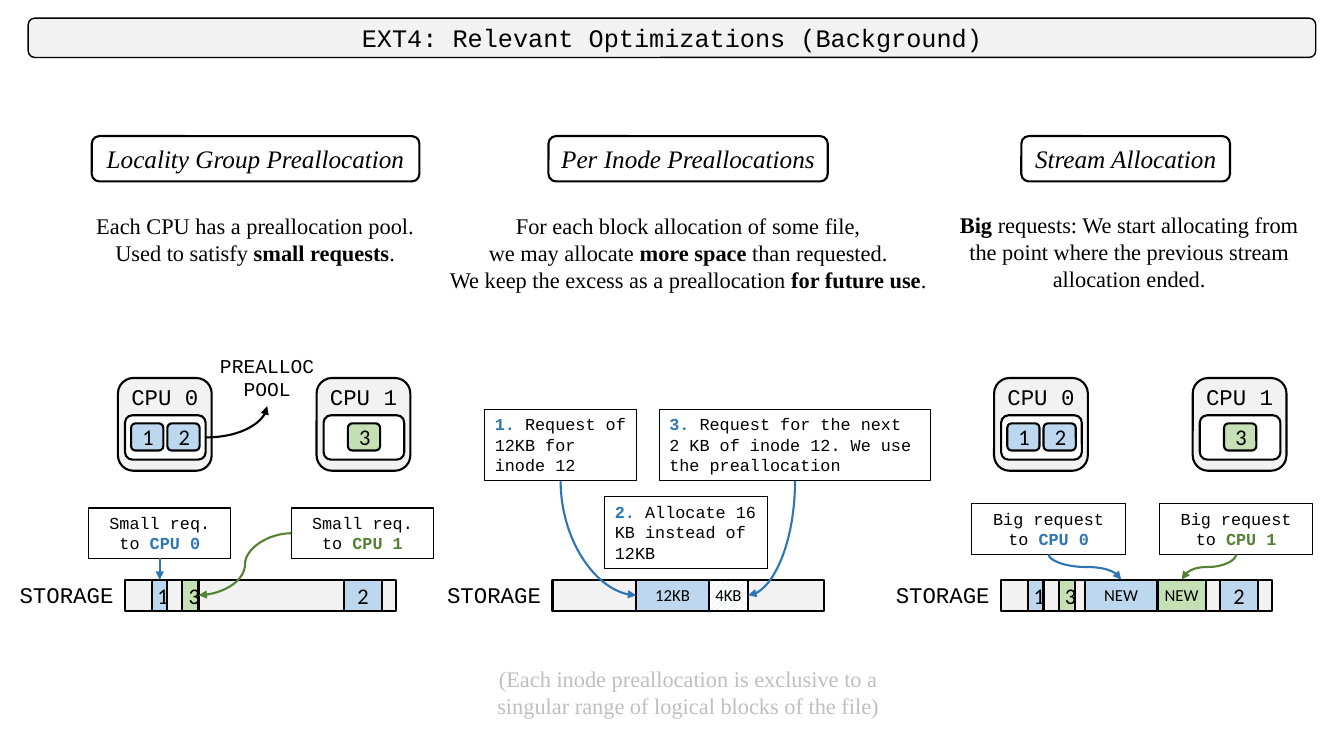
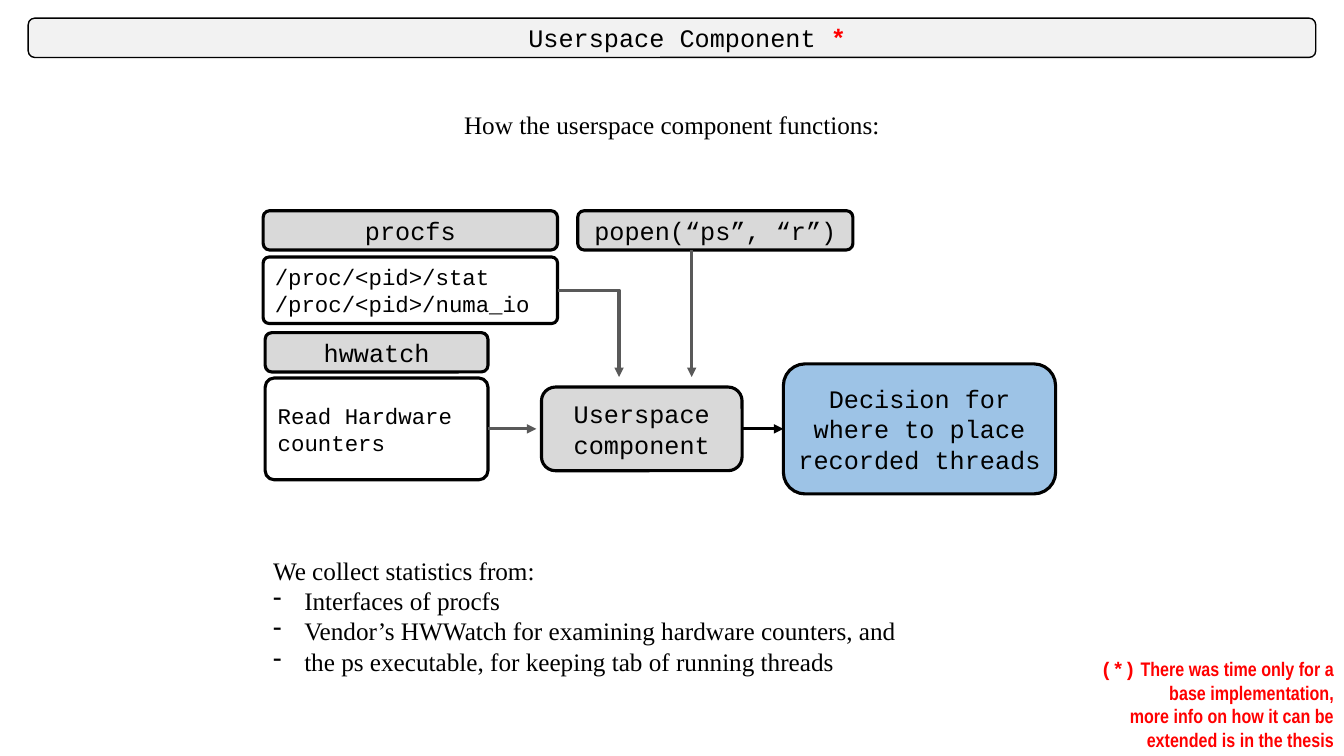
from pptx import Presentation, util as u
from pptx.dml.color import RGBColor
from pptx.enum import dml, shapes, text
from pptx.oxml.ns import qn
from lxml import etree

INK = {"black": "000000", "white": "FFFFFF", "pale": "F2F2F2", "gray": "D9D9D9",
       "dim": "BFBFBF", "slate": "595959", "sky": "BDD7EE", "mint": "C5E0B4",
       "lake": "9DC3E6", "blue": "2E75B6", "green": "548235", "red": "FF0000"}
MONO, SERIF, SANS, SLIM = "Courier New", "Times New Roman", "Calibri", "Arial Narrow"
RECT, ROUND = shapes.MSO_SHAPE.RECTANGLE, shapes.MSO_SHAPE.ROUNDED_RECTANGLE
LEFT, MID, RIGHT = text.PP_ALIGN.LEFT, text.PP_ALIGN.CENTER, text.PP_ALIGN.RIGHT
TOP, LEVEL = text.MSO_ANCHOR.TOP, text.MSO_ANCHOR.MIDDLE
BOLD = {"bold": True}
CPUS = [("CPU 0", "blue"), ("CPU 1", "green")]


def rgb(name):
    return RGBColor.from_string(INK[name])


def write(shape, paras, font, size, align=MID, anchor=TOP, wrap=True, side=0.1, **look):
    """Fill a shape with paragraphs, each a string or a list of strings and (string, format) pairs."""
    frame = shape.text_frame
    frame.word_wrap, frame.vertical_anchor = wrap, anchor
    frame.margin_left = frame.margin_right = u.Inches(side)
    for i, runs in enumerate([paras] if isinstance(paras, str) else paras):
        para = frame.add_paragraph() if i else frame.paragraphs[0]
        para.alignment = align
        for run in [runs] if isinstance(runs, str) else runs:
            words, extra = (run, {}) if isinstance(run, str) else run
            style = {"name": font, "size": u.Pt(size), "color": "black", **look, **extra}
            for j, line in enumerate(words.split("\n")):
                if j:
                    para.add_line_break()
                part = para.add_run()
                part.text = line
                for key, value in style.items():
                    if key == "color":
                        part.font.color.rgb = rgb(value)
                    else:
                        setattr(part.font, key, value)
    return shape


def box(slide, area, fill=None, form=RECT, line=1.5, curve=None):
    shape = slide.shapes.add_shape(form, *map(u.Inches, area))
    shape.shadow.inherit = False
    if fill:
        shape.fill.solid()
        shape.fill.fore_color.rgb = rgb(fill)
    else:
        shape.fill.background()
    shape.line.color.rgb, shape.line.width = rgb("black"), u.Pt(line)
    if curve:
        shape.adjustments[0] = curve
    return shape


def label(slide, area, paras, font, size, **look):
    return write(slide.shapes.add_textbox(*map(u.Inches, area)), paras, font, size, **look)


def spot(end):
    """Give the point, in inches, of an (x, y) pair or of a (shape, side) pair."""
    shape, side = end
    if isinstance(shape, (int, float)):
        return end
    dx, dy = [(0.5, 0), (0, 0.5), (0.5, 1), (1, 0.5)][side]
    return (u.Emu(shape.left + int(dx * shape.width)).inches,
            u.Emu(shape.top + int(dy * shape.height)).inches)


def link(slide, start, end, color, width=1.5, form=None, down=False):
    """Draw an arrow; form names a bent or curved preset, down makes it leave downwards."""
    (ax, ay), (bx, by) = spot(start), spot(end)
    turn = 0
    if down:
        mx, my = (ax + bx) / 2, (ay + by) / 2
        sign = 1 if bx < ax else -1
        reach, rise = sign * (by - ay) / 2, abs(bx - ax) / 2
        ax, ay, bx, by = mx - reach, my - rise, mx + reach, my + rise
        turn = 90 if sign > 0 else 270
    kinds = shapes.MSO_CONNECTOR
    kind = kinds.CURVE if form else kinds.STRAIGHT
    arrow = slide.shapes.add_connector(kind, *map(u.Inches, (ax, ay, bx, by)))
    frame = arrow.element.spPr
    if form:
        frame.find(qn("a:prstGeom")).set("prst", form)
        arrow.rotation = turn
    else:
        for join, (shape, side) in ((arrow.begin_connect, start), (arrow.end_connect, end)):
            if not isinstance(shape, (int, float)):
                join(shape, side)
    arrow.line.color.rgb, arrow.line.width = rgb(color), u.Pt(width)
    etree.SubElement(frame.find(qn("a:ln")), qn("a:tailEnd"), type="triangle")
    etree.SubElement(frame, qn("a:effectLst"))


def banner(slide, paras, indent=0.1):
    bar = box(slide, (0.28, 0.18, 12.77, 0.39), "pale", ROUND, 1)
    write(bar, paras, MONO, 18, anchor=LEVEL)
    bar.text_frame.margin_left = u.Inches(indent)


def topic(slide, x, w, name):
    tag = box(slide, (x, 1.35, w, 0.45), form=ROUND)
    write(tag, name, SERIF, 18, wrap=False, italic=True)


def core(slide, x, y, name, slots, fill):
    """Draw a CPU with its pool of numbered slots."""
    w, gap = 0.32, 0.04
    box(slide, (x, y, 0.93, 0.92), "pale", ROUND)
    label(slide, (x, y, 0.93, 0.37), name, MONO, 16)
    pool = box(slide, (x + 0.07, y + 0.37, 0.8, 0.44), "white", ROUND)
    left = x + 0.47 - (len(slots) * (w + gap) - gap) / 2
    for i, mark in enumerate(slots):
        slot = box(slide, (left + i * (w + gap), y + 0.45, w, 0.27), fill, ROUND)
        write(slot, mark, SANS, 16, anchor=LEVEL)
    return pool


def cores(slide, x, y):
    return [core(slide, x + 1.97 * i, y, name, slots, fill) for i, (name, slots, fill)
            in enumerate([("CPU 0", "12", "sky"), ("CPU 1", "3", "mint")])]


def store(slide, x, y, blocks):
    """Draw the storage bar; a block is (offset, width, text, fill)."""
    label(slide, (x - 1.17, y - 0.03, 1.18, 0.37), "STORAGE", MONO, 16)
    box(slide, (x, y, 2.69, 0.31), "pale")
    made = []
    for shift, w, mark, fill in blocks:
        block = box(slide, (x + shift, y, w, 0.31), fill)
        short = len(mark) == 1
        made.append(write(block, mark, SANS, 16 if short else 12, anchor=LEVEL,
                          side=0.1 if short else 0))
    return made


def note(slide, area, runs, align=LEFT):
    return write(box(slide, area, line=0.75), [runs], MONO, 12, align=align)


def asks(slide, x, y, w, step, words):
    """Draw one request note for each CPU."""
    return [note(slide, (x + i * step, y, w, 0.5),
                 [words + " to ", (cpu, {"color": color, **BOLD})], MID)
            for i, (cpu, color) in enumerate(CPUS)]


USED = [(0.27, 0.15, "1", "sky"), (0.57, 0.16, "3", "mint"), (2.17, 0.38, "2", "sky")]


def local(slide, x, y):
    topic(slide, x - 0.33, 3.25, "Locality Group Preallocation")
    label(slide, (x - 0.4, 2.06, 3.38, 0.64),
          ["Each CPU has a preallocation pool.",
           ["Used to satisfy ", ("small requests", BOLD), "."]], SERIF, 16)
    pool = cores(slide, x - 0.07, y - 2)[0]
    label(slide, (x + 0.79, y - 2.29, 1.24, 0.57), "PREALLOC POOL", MONO, 14)
    link(slide, (pool, 3), (x + 1.41, y - 1.72), "black", form="curvedConnector2")
    one, three, _ = store(slide, x, y, USED)
    first, second = asks(slide, x - 0.36, y - 0.71, 1.41, 2.01, "Small req.")
    link(slide, (first, 2), (one, 0), "blue")
    link(slide, (second, 1), (three, 3), "green", form="curvedConnector3")


def inode(slide, x, y):
    topic(slide, x - 0.04, 2.77, "Per Inode Preallocations")
    label(slide, (x - 1.15, 2.06, 4.99, 0.91),
          [["For each block allocation of some file,\nwe may allocate ",
            ("more space", BOLD), " than requested."],
           ["We keep the excess as a preallocation ", ("for future use", BOLD), "."]], SERIF, 16)
    full, spare = store(slide, x, y, [(0.83, 0.72, "12ΚΒ", "sky"), (1.55, 0.39, "4ΚΒ", "sky")])
    spare.fill.patterned()
    spare.fill.pattern = dml.MSO_PATTERN.WIDE_UPWARD_DIAGONAL
    spare.fill.fore_color.rgb, spare.fill.back_color.rgb = rgb("sky"), rgb("white")
    steps = [(-0.67, -1.69, 1.5, "Request of 12KB for inode 12"),
             (0.52, -0.82, 1.61, "Allocate 16 KB instead of 12ΚΒ"),
             (1.06, -1.69, 2.69, "Request for the next 2 KB of inode 12. We use the preallocation")]
    first, _, third = [note(slide, (x + dx, y + dy, w, 0.71),
                            [(f"{i}. ", {"color": "blue", **BOLD}), words])
                       for i, (dx, dy, w, words) in enumerate(steps, 1)]
    for ask, end in ((first, (full, 1)), (third, (spare, 3))):
        link(slide, (ask, 2), end, "blue", form="curvedConnector2", down=True)
    label(slide, (x - 0.76, y + 0.8, 4.21, 0.64),
          "(Each inode preallocation is exclusive to a singular range of logical blocks of the file)",
          SERIF, 16, color="dim")


def stream(slide, x, y):
    topic(slide, x + 0.2, 2.07, "Stream Allocation")
    label(slide, (x - 0.6, 2.05, 3.74, 0.91),
          [[("Big", BOLD), " requests: We start allocating from the point where "
            "the previous stream allocation ended."]], SERIF, 16)
    cores(slide, x - 0.07, y - 2)
    fresh = store(slide, x, y, USED + [(0.83, 0.72, "NEW", "sky"), (1.55, 0.48, "NEW", "mint")])[3:]
    notes = asks(slide, x - 0.29, y - 0.75, 1.52, 1.86, "Big request")
    for ask, block, (_, color) in zip(notes, fresh, CPUS):
        link(slide, (ask, 2), (block, 0), color, form="curvedConnector3", down=True)


def tuning(slide):
    banner(slide, "EXT4: Relevant Optimizations (Background)")
    for draw, x in ((local, 1.24), (inode, 5.48), (stream, 9.93)):
        draw(slide, x, 5.75)


def head(slide, area, words, fill="gray", side=0.1):
    return write(box(slide, area, fill, ROUND, 2.25), words, MONO, 18, anchor=LEVEL, side=side)


def detail(slide, area, paras):
    shape = box(slide, area, form=ROUND, line=2.25, curve=0.09)
    return write(shape, paras, MONO, 16, align=LEFT, anchor=LEVEL)


def flow(slide, x, y):
    """Draw the sources, the component and its decision."""
    head(slide, (x, y, 2.92, 0.39), "procfs")
    files = detail(slide, (x, y + 0.46, 2.92, 0.66), ["/proc/<pid>/stat", "/proc/<pid>/numa_io"])
    head(slide, (x + 0.02, y + 1.21, 2.21, 0.39), "hwwatch")
    count = detail(slide, (x + 0.02, y + 1.66, 2.21, 1.01), "Read Hardware counters")
    head(slide, (x + 3.12, y, 2.73, 0.39), "popen(“ps”, “r”)")
    main = head(slide, (x + 2.76, y + 1.75, 1.99, 0.83), "Userspace component")
    goal = head(slide, (x + 5.16, y + 1.52, 2.7, 1.29),
                "Decision for where to place recorded threads", "lake", 0)
    link(slide, (files, 3), (x + 3.53, y + 1.65), "slate", 2.25, "bentConnector2")
    link(slide, (x + 4.25, y + 0.39), (x + 4.25, y + 1.65), "slate", 2.25)
    link(slide, (count, 3), (x + 2.71, spot((count, 3))[1]), "slate", 2.25)
    link(slide, (main, 3), (goal, 1), "black", 2.25)


def points(slide, area, lead, items):
    shape = label(slide, area, [lead] + items, SERIF, 18, align=LEFT)
    for para in shape.text_frame.paragraphs[1:]:
        props = para._p.get_or_add_pPr()
        for key, value in {"marL": 0.31, "indent": -0.31}.items():
            props.set(key, str(u.Inches(value)))
        etree.SubElement(props, qn("a:buChar"), char="-")


def userland(slide):
    star = {"color": "red", **BOLD}
    banner(slide, [["Userspace Component ", ("*", star)]], 0.4)
    label(slide, (0.28, 1.04, 12.77, 0.4), "How the userspace component functions:", SERIF, 18)
    flow(slide, 2.61, 2.09)
    points(slide, (2.61, 5.46, 7.87, 1.31), "We collect statistics from:",
           ["Interfaces of procfs",
            "Vendor’s HWWatch for examining hardware counters, and",
            "the ps executable, for keeping tab of running threads"])
    label(slide, (10.73, 6.47, 2.6, 1.04),
          [[("(*)", {"name": MONO}), " There was time only for a base implementation,\n"
            "more info on how it can be extended is in the thesis"]],
          SLIM, 14, align=RIGHT, **star)


def main():
    deck = Presentation()
    deck.slide_width, deck.slide_height = u.Inches(13.33), u.Inches(7.5)
    for draw in (tuning, userland):
        draw(deck.slides.add_slide(deck.slide_layouts[6]))
    deck.save("out.pptx")


if __name__ == "__main__":
    main()
